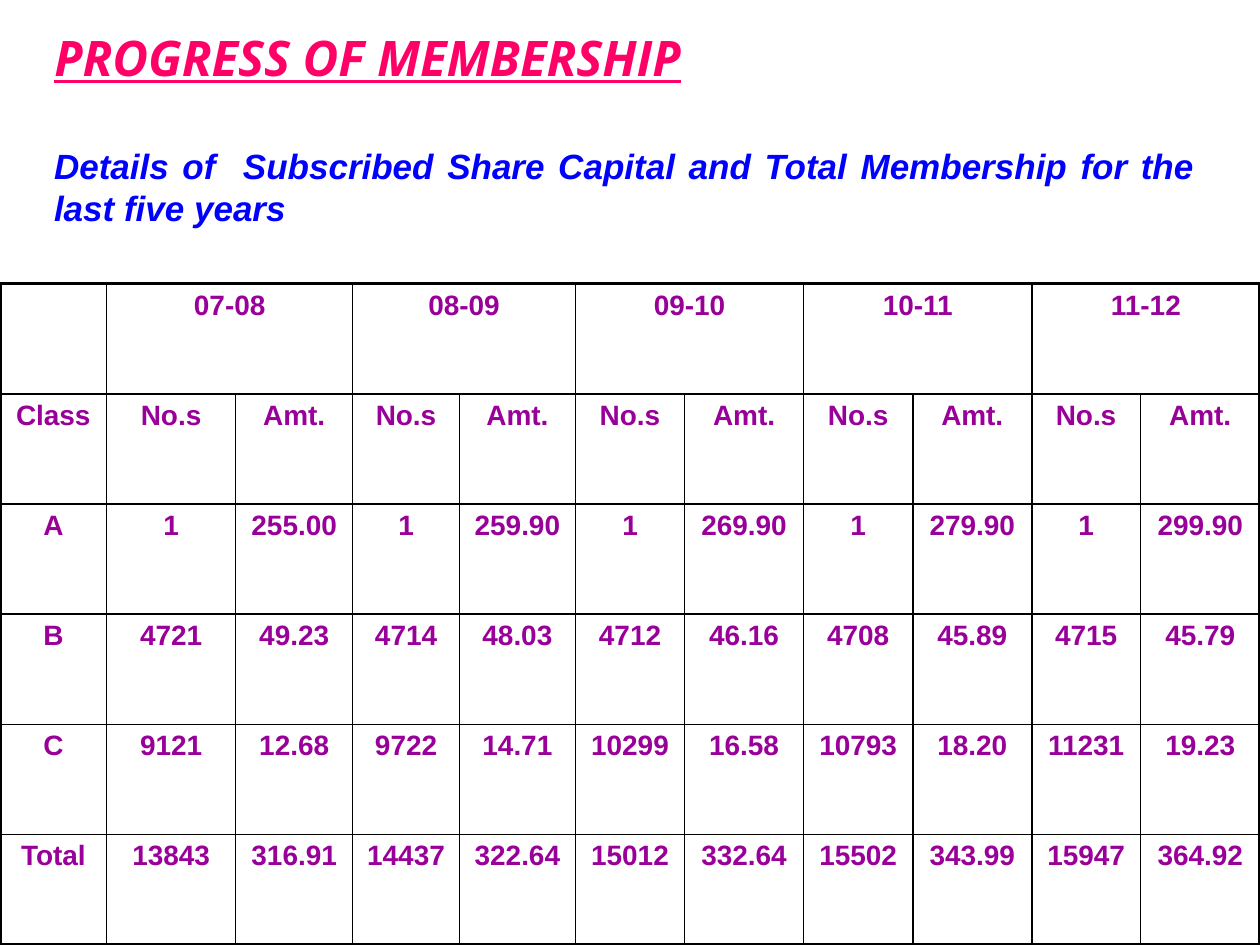
from dataclasses import dataclass

from lxml.etree import SubElement
from pptx import Presentation
from pptx.dml.color import RGBColor
from pptx.enum.text import MSO_ANCHOR, MSO_AUTO_SIZE, PP_ALIGN
from pptx.oxml.ns import qn
from pptx.util import Cm, Pt


@dataclass(frozen=True)
class Theme:
    title: RGBColor = RGBColor(0xFF, 0x00, 0x66)
    subtitle: RGBColor = RGBColor(0x00, 0x00, 0xFF)
    cell: RGBColor = RGBColor(0x99, 0x00, 0x99)
    border: str = "000000"
    title_font: str = "Open Sans"
    body_font: str = "Arial"
    title_size: Pt = Pt(28)
    subtitle_size: Pt = Pt(20)
    cell_size: Pt = Pt(16)
    outer_line: Pt = Pt(2.25)
    inner_line: Pt = Pt(1)


theme = Theme()


def write(tf, text, font, size, color, align, italic=True):
    p = tf.paragraphs[0]
    p.text = text
    p.alignment = align
    p.font.name, p.font.size, p.font.color.rgb = font, size, color
    p.font.bold, p.font.italic = True, italic


def set_borders(cell, widths):
    """Draw the left, right, top and bottom borders, in that order."""
    tcPr = cell._tc.get_or_add_tcPr()
    for side, width in zip(("lnL", "lnR", "lnT", "lnB"), widths):
        ln = SubElement(tcPr, qn(f"a:{side}"), w=str(width))
        fill = SubElement(ln, qn("a:solidFill"))
        SubElement(fill, qn("a:srgbClr"), val=theme.border)


prs = Presentation()
prs.slide_width, prs.slide_height = Cm(25.4), Cm(19.05)
s = prs.slides.add_slide(prs.slide_layouts.get_by_name("Title Only"))

# Heading
title = s.shapes.title
title.left, title.top, title.width, title.height = Cm(0.84), Cm(0.43), Cm(23.5), Cm(1.6)
tf = title.text_frame
tf.auto_size = MSO_AUTO_SIZE.NONE
tf.vertical_anchor = MSO_ANCHOR.TOP
write(tf, "PROGRESS OF MEMBERSHIP", theme.title_font, theme.title_size,
      theme.title, PP_ALIGN.LEFT)
tf.paragraphs[0].font.underline = True

# Subtitle
subtitle = s.shapes.add_textbox(Cm(0.84), Cm(2.78), Cm(23.5), Cm(1.95))
subtitle.text_frame.word_wrap = True
write(subtitle.text_frame,
      "Details of  Subscribed Share Capital and Total Membership for the last five years",
      theme.body_font, theme.subtitle_size, theme.subtitle, PP_ALIGN.JUSTIFY)

# Membership table: a number and an amount column for each year
years = ["07-08", "08-09", "09-10", "10-11", "11-12"]
rows = [
    [""] + [text for year in years for text in (year, "")],
    ["Class"] + ["No.s", "Amt."] * len(years),
    ["A", "1", "255.00", "1", "259.90", "1", "269.90", "1", "279.90", "1", "299.90"],
    ["B", "4721", "49.23", "4714", "48.03", "4712", "46.16", "4708", "45.89", "4715", "45.79"],
    ["C", "9121", "12.68", "9722", "14.71", "10299", "16.58", "10793", "18.20", "11231", "19.23"],
    ["Total", "13843", "316.91", "14437", "322.64", "15012", "332.64", "15502", "343.99",
     "15947", "364.92"],
]
col_widths = [2.15, 2.6, 2.36, 2.15, 2.34, 2.2, 2.4, 2.2, 2.4, 2.19, 2.41]
last_row, last_col = len(rows) - 1, len(col_widths) - 1

table = s.shapes.add_table(len(rows), len(col_widths), Cm(0), Cm(5.72),
                           Cm(25.4), Cm(13.32)).table
table.first_row = table.horz_banding = False
for column, width in zip(table.columns, col_widths):
    column.width = Cm(width)
for row in table.rows:
    row.height = Cm(2.22)
for c in range(1, last_col, 2):
    table.cell(0, c).merge(table.cell(0, c + 1))

for r, values in enumerate(rows):
    for c, value in enumerate(values):
        cell = table.cell(r, c)
        on_edge = (c == 0, c == last_col, r == 0, r == last_row)
        if cell.is_merge_origin:
            on_edge = (False, c + 1 == last_col, True, False)
        set_borders(cell, [theme.outer_line if edge else theme.inner_line for edge in on_edge])
        cell.fill.background()
        if value:
            write(cell.text_frame, value, theme.body_font, theme.cell_size,
                  theme.cell, PP_ALIGN.CENTER, italic=False)

prs.save("out.pptx")
